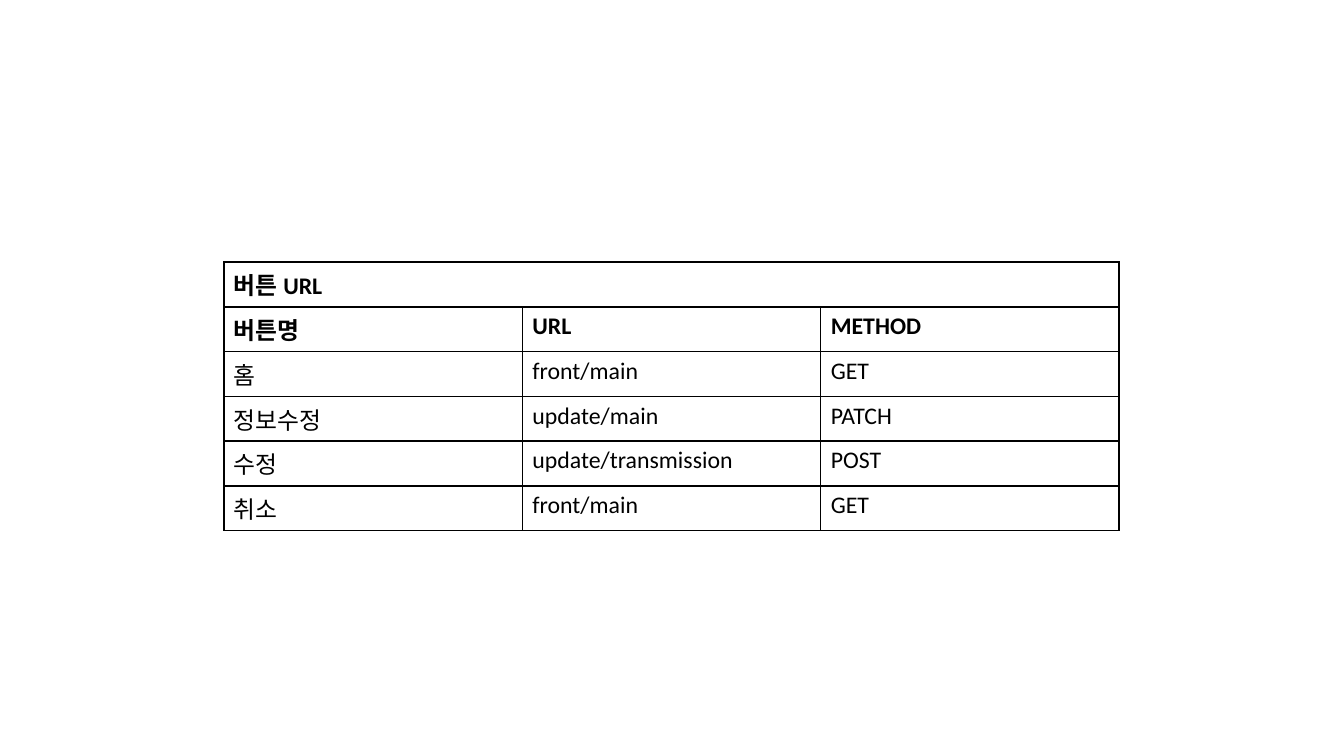
from lxml import etree
from pptx import Presentation
from pptx.dml.color import RGBColor
from pptx.oxml.ns import qn
from pptx.util import Inches, Pt

COLORS = {"ink": "000000", "paper": "FFFFFF"}
FONT = "Calibri"
BORDER_WIDTH = Pt(1.2)
BORDER_SIDES = ("a:lnL", "a:lnR", "a:lnT", "a:lnB")

TITLE = "버튼 URL"
ROWS = [
    ("버튼명", "URL", "METHOD"),
    ("홈", "front/main", "GET"),
    ("정보수정", "update/main", "PATCH"),
    ("수정", "update/transmission", "POST"),
    ("취소", "front/main", "GET"),
]


def write_text(frame, text, *, size=17, bold=False, color="ink"):
    span = frame.paragraphs[0].add_run()
    span.text = text
    span.font.name = FONT
    span.font.size = Pt(size)
    span.font.bold = bold
    span.font.color.rgb = RGBColor.from_string(COLORS[color])


def style_cell(cell):
    properties = cell._tc.get_or_add_tcPr()
    # Borders come before the fill in the cell properties
    for side in BORDER_SIDES:
        line = etree.SubElement(properties, qn(side), w=str(int(BORDER_WIDTH)))
        fill = etree.SubElement(line, qn("a:solidFill"))
        etree.SubElement(fill, qn("a:srgbClr"), val=COLORS["ink"])
    cell.fill.solid()
    cell.fill.fore_color.rgb = RGBColor.from_string(COLORS["paper"])


def add_url_table(page, left, top, column_width, row_height):
    row_count, column_count = len(ROWS) + 1, len(ROWS[0])
    frame = page.shapes.add_table(
        row_count, column_count, left, top,
        column_width * column_count, row_height * row_count)
    table = frame.table
    for column in table.columns:
        column.width = column_width
    for row in table.rows:
        row.height = row_height
    for cell in table.iter_cells():
        style_cell(cell)

    # Title across all columns
    title_cell = table.cell(0, 0)
    title_cell.merge(table.cell(0, column_count - 1))
    write_text(title_cell.text_frame, TITLE, bold=True)

    # Column heads, then the buttons
    for row_index, values in enumerate(ROWS, start=1):
        for column_index, value in enumerate(values):
            cell = table.cell(row_index, column_index)
            write_text(cell.text_frame, value, bold=row_index == 1)


def main():
    deck = Presentation()
    deck.slide_width, deck.slide_height = Inches(13.33), Inches(7.5)
    page = deck.slides.add_slide(deck.slide_layouts[6])
    add_url_table(page, Inches(2.22), Inches(2.6), Inches(2.96), Inches(0.44))
    deck.save("out.pptx")


if __name__ == "__main__":
    main()
